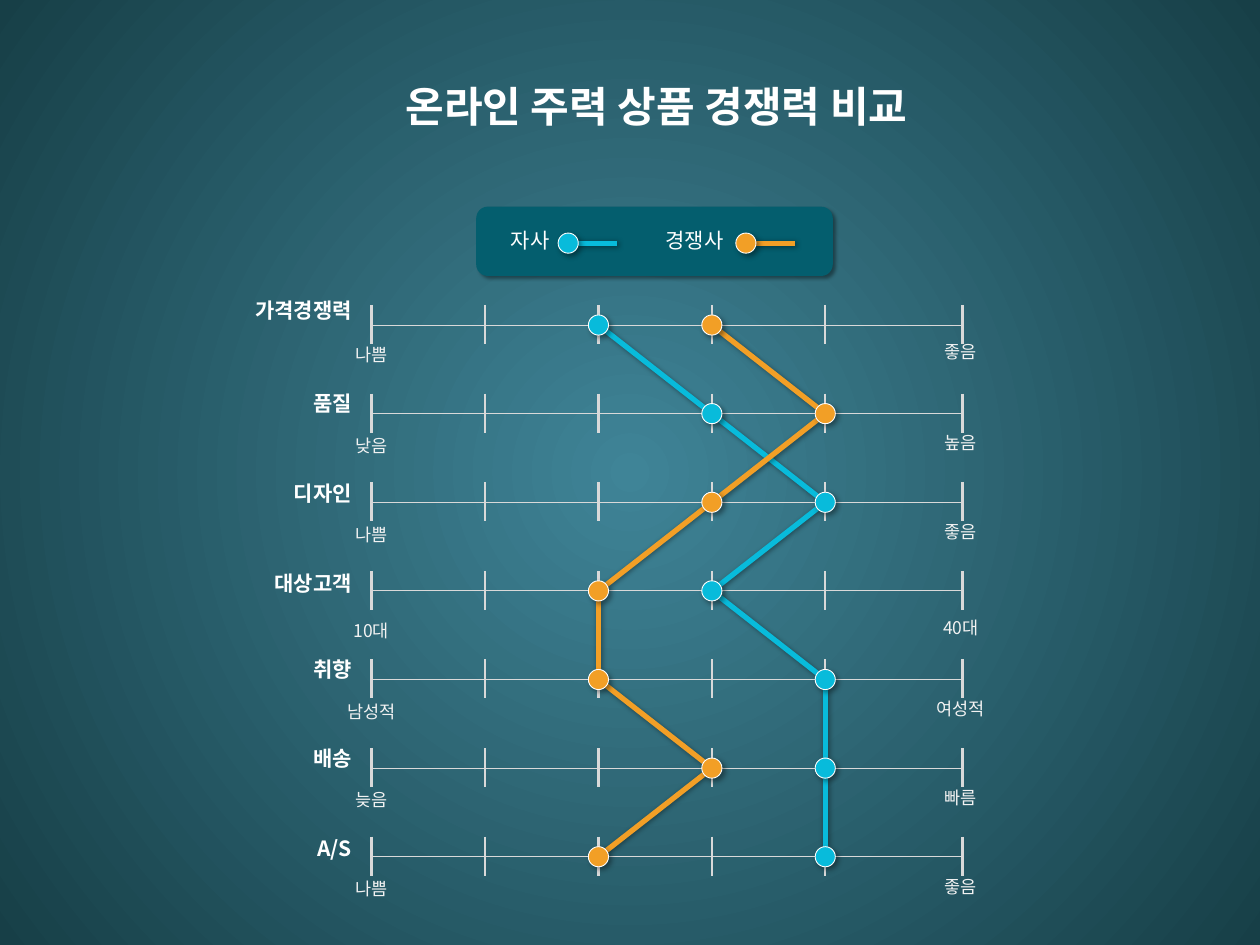
from math import hypot

from pptx import Presentation
from pptx.dml.color import RGBColor
from pptx.enum.shapes import MSO_CONNECTOR, MSO_SHAPE
from pptx.enum.text import MSO_ANCHOR, MSO_AUTO_SIZE, PP_ALIGN as Al
from pptx.oxml import parse_xml
from pptx.oxml.ns import nsdecls, qn
from pptx.util import Inches, Pt

# Content
TITLE = "온라인 주력 상품 경쟁력 비교"
FONT = "Noto Sans CJK KR"
WHITE, PALE, TICK, PANEL = "FFFFFF", "F2F2F2", "D9D9D9", "045E6E"
# criterion, low end, high end, label offset, end text offset (from the axis)
ROWS = [
    ("가격경쟁력", "나쁨", "좋음", -0.27, 0.10),
    ("품질", "낮음", "높음", -0.23, 0.12),
    ("디자인", "나쁨", "좋음", -0.22, 0.12),
    ("대상고객", "10대", "40대", -0.21, 0.18),
    ("취향", "남성적", "여성적", -0.23, 0.12),
    ("배송", "늦음", "빠름", -0.23, 0.12),
    ("A/S", "나쁨", "좋음", -0.22, 0.12),
]
# name, colour, score per criterion, legend marker centre
SERIES = [
    ("자사", "08BBDB", [2, 3, 4, 3, 4, 4, 4], 4.51),
    ("경쟁사", "F29F26", [3, 4, 3, 2, 2, 3, 2], 5.92),
]

# Grid
LEFT, RIGHT, STEP = 2.95, 7.64, 0.9
TOP, BOTTOM = 2.58, 6.8
PITCH = (BOTTOM - TOP) / (len(ROWS) - 1)
TICKS = [LEFT + i * STEP for i in range(5)] + [RIGHT]
DOT = 0.16
LEGEND_Y = 1.93


def rgb(value):
    return RGBColor.from_string(value)


def row_y(i):
    return TOP + i * PITCH


def effect(shape, blur=0, dist=0):
    """Give the shape its own soft shadow, or none at all."""
    shadow = (
        f'<a:outerShdw blurRad="{Pt(blur)}" dist="{Pt(dist)}" dir="2700000" algn="tl">'
        '<a:srgbClr val="000000"><a:alpha val="40000"/></a:srgbClr></a:outerShdw>'
    ) if blur else ""
    sp_pr = shape._element.spPr
    for old in sp_pr.findall(qn("a:effectLst")):
        sp_pr.remove(old)
    sp_pr.append(parse_xml(f'<a:effectLst {nsdecls("a")}>{shadow}</a:effectLst>'))


def line(shapes, start, end, color, width, *shadow):
    points = [Inches(v) for v in (*start, *end)]
    c = shapes.add_connector(MSO_CONNECTOR.STRAIGHT, *points)
    c.line.color.rgb, c.line.width = rgb(color), Pt(width)
    effect(c, *shadow)


def block(shapes, kind, x, y, w, h, fill, border, *shadow):
    sp = shapes.add_shape(kind, Inches(x), Inches(y), Inches(w), Inches(h))
    sp.fill.solid()
    sp.fill.fore_color.rgb = rgb(fill)
    if border:
        sp.line.color.rgb, sp.line.width = rgb(border), Pt(0.5)
    else:
        sp.line.fill.background()
    effect(sp, *shadow)


def dot(shapes, x, y, color):
    block(shapes, MSO_SHAPE.OVAL, x - DOT / 2, y - DOT / 2, DOT, DOT,
          color, WHITE, 3, 2)


def write(sp, words, size, color, align, bold=False):
    tf = sp.text_frame
    tf.text, tf.word_wrap = words, True
    tf.auto_size, tf.vertical_anchor = MSO_AUTO_SIZE.SHAPE_TO_FIT_TEXT, MSO_ANCHOR.TOP
    p = tf.paragraphs[0]
    p.alignment = align
    r = p.runs[0]
    r.font.name, r.font.size, r.font.bold = FONT, Pt(size), bold
    r.font.color.rgb = rgb(color)
    r._r.get_or_add_rPr().find(qn("a:latin")).addnext(
        parse_xml(f'<a:ea {nsdecls("a")} typeface="{FONT}"/>'))


def text(shapes, x, y, w, h, *style):
    write(shapes.add_textbox(Inches(x), Inches(y), Inches(w), Inches(h)), *style)


prs = Presentation()
prs.slide_width, prs.slide_height = Inches(10), Inches(7.5)
s = prs.slides.add_slide(prs.slide_layouts[5])

# Radial background
fill = s.background.fill
fill.gradient()
for stop, color in zip(fill.gradient_stops, ("3F8497", "173F47")):
    stop.color.rgb = rgb(color)
grad = s.element.find(".//" + qn("a:gradFill"))
grad.remove(grad.find(qn("a:lin")))
for pos, gs in zip((0, 100000), grad.iter(qn("a:gs"))):
    gs.set("pos", str(pos))
grad.find(qn("a:gsLst")).addnext(parse_xml(
    f'<a:path {nsdecls("a")} path="circle">'
    '<a:fillToRect l="50000" t="50000" r="50000" b="50000"/></a:path>'))

# Title
title = s.shapes.title
title.left, title.top, title.width, title.height = map(Inches, (2.71, 0.59, 5, 0.5))
write(title, TITLE, 24, WHITE, Al.CENTER, True)

# Scales with their labels
for i, (name, low, high, label_dy, end_dy) in enumerate(ROWS):
    y = row_y(i)
    axis = s.shapes.add_group_shape().shapes
    line(axis, (LEFT, y), (RIGHT, y), TICK, 0.5)
    for x in TICKS:
        width = 2 if x in (LEFT, RIGHT) else 1.25
        line(axis, (x, y - 0.16), (x, y + 0.15), TICK, width)
    text(s.shapes, 1.48, y + label_dy, 1.41, 0.3, name, 12, WHITE, Al.RIGHT, True)
    text(s.shapes, 2.4, y + end_dy, 1.09, 0.27, low, 10, PALE, Al.CENTER)
    text(s.shapes, 7.08, y + end_dy - 0.02, 1.09, 0.27, high, 10, PALE, Al.CENTER)

# Profiles: links stop at the rim of the markers
profiles = [(color, [(TICKS[v], row_y(i)) for i, v in enumerate(scores)])
            for _, color, scores, _ in SERIES]
for color, points in profiles:
    for (x1, y1), (x2, y2) in zip(points, points[1:]):
        share = DOT / 2 / hypot(x2 - x1, y2 - y1)
        dx, dy = (x2 - x1) * share, (y2 - y1) * share
        line(s.shapes, (x1 + dx, y1 + dy), (x2 - dx, y2 - dy), color, 3, 3, 1)
for color, points in profiles:
    for x, y in points:
        dot(s.shapes, x, y, color)

# Legend
block(s.shapes, MSO_SHAPE.ROUNDED_RECTANGLE, 3.78, 1.64, 2.83, 0.55, PANEL, None, 2, 2)
for (name, color, _, x), gap in zip(SERIES, (0.05, 0.08)):
    key = s.shapes.add_group_shape().shapes
    line(key, (x + DOT / 2, LEGEND_Y), (x + 0.39, LEGEND_Y), color, 3, 3, 1)
    dot(key, x, LEGEND_Y, color)
    text(key, x - gap - 0.78, 1.76, 0.78, 0.31, name, 12, WHITE, Al.RIGHT)

prs.save("out.pptx")
